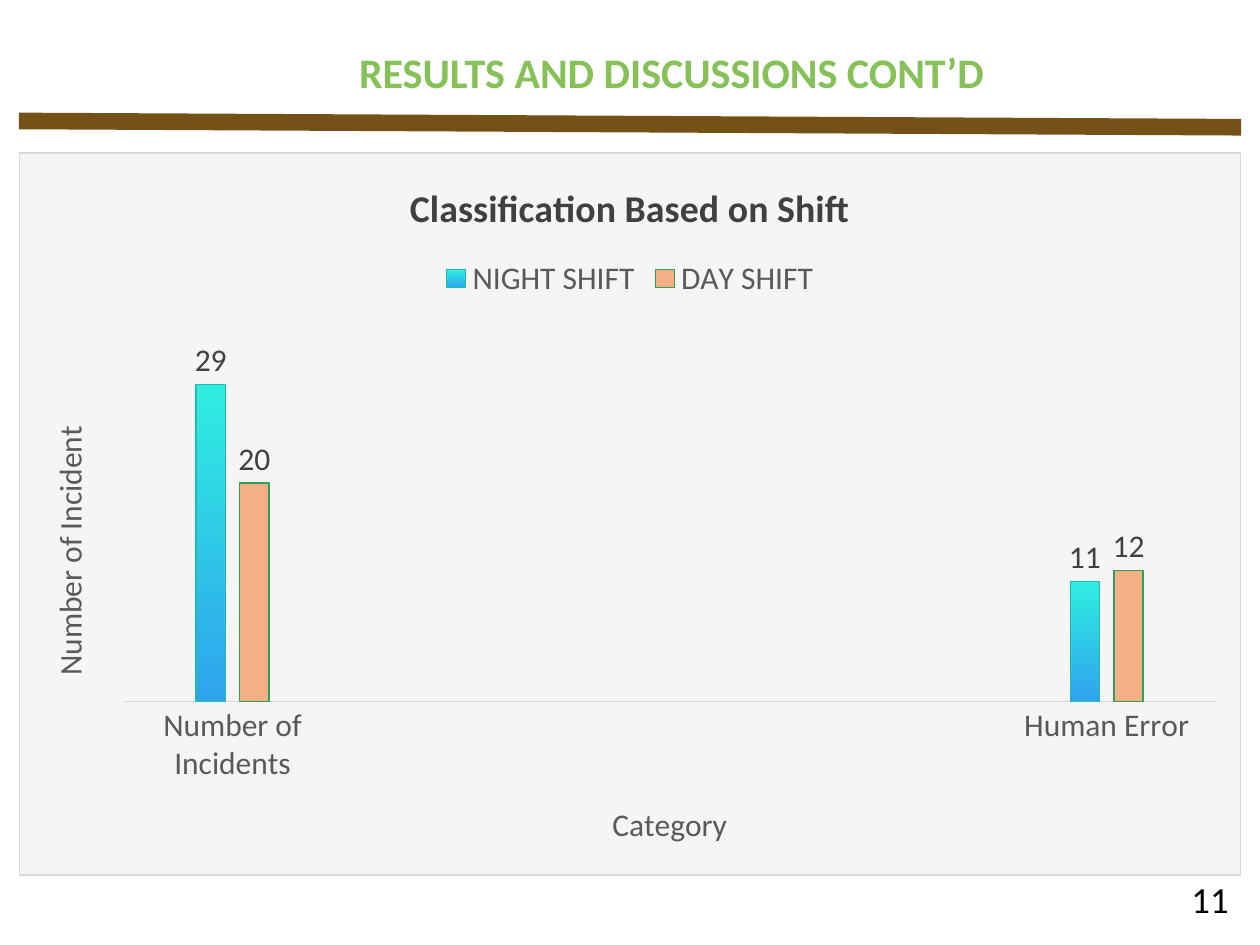
from dataclasses import dataclass

from lxml import etree
from pptx import Presentation
from pptx.chart.data import CategoryChartData
from pptx.dml.color import RGBColor
from pptx.enum.chart import XL_CHART_TYPE, XL_LABEL_POSITION, XL_LEGEND_POSITION, XL_TICK_MARK
from pptx.enum.shapes import MSO_CONNECTOR
from pptx.enum.text import MSO_ANCHOR, PP_ALIGN
from pptx.oxml import parse_xml
from pptx.oxml.ns import nsdecls, qn
from pptx.util import Inches, Pt


@dataclass(frozen=True)
class Theme:
    font: str = "Calibri"
    heading: str = "86C157"
    rule: str = "755017"
    black: str = "000000"
    white: str = "FFFFFF"
    dark: str = "404040"
    gray: str = "595959"
    border: str = "D9D9D9"
    panel: str = "F5F5F5"
    night: tuple = ("2FEEE0", "2FA3EE")
    night_edge: str = "1FBDB0"
    day: str = "F4B084"
    day_edge: str = "2FA05A"
    heading_size: float = 24
    number_size: float = 21
    chart_title_size: float = 21.6
    chart_size: float = 18
    rule_width: float = 9.5
    hairline: float = 0.75


class SlideBuilder:
    def __init__(self, slide, theme):
        self.slide = slide
        self.theme = theme

    def style(self, font, size, color, bold=False):
        font.name = self.theme.font
        font.size = Pt(size)
        font.bold = bold
        font.color.rgb = RGBColor.from_string(color)

    def outline(self, line, color, width):
        line.color.rgb = RGBColor.from_string(color)
        line.width = Pt(width)

    def background(self, color):
        fill = self.slide.background.fill
        fill.solid()
        fill.fore_color.rgb = RGBColor.from_string(color)

    def text(self, content, box, size, color, align, anchor=MSO_ANCHOR.TOP, bold=False):
        frame = self.slide.shapes.add_textbox(*map(Inches, box)).text_frame
        frame.word_wrap = True
        frame.vertical_anchor = anchor
        paragraph = frame.paragraphs[0]
        paragraph.text = content
        paragraph.alignment = align
        self.style(paragraph.font, size, color, bold)

    def rule(self, start, end):
        rule = self.slide.shapes.add_connector(
            MSO_CONNECTOR.STRAIGHT, *map(Inches, start + end))
        self.outline(rule.line, self.theme.rule, self.theme.rule_width)
        etree.SubElement(rule.element.spPr, qn("a:effectLst"))

    def chart_title(self, owner, content, size, color, bold=False):
        paragraph = owner.text_frame.paragraphs[0]
        paragraph.text = content
        self.style(paragraph.font, size, color, bold)

    def chart_panel(self, chart):
        theme = self.theme
        chart.element.find(qn("c:chart")).addnext(parse_xml(
            f'<c:spPr {nsdecls("c", "a")}>'
            f'<a:solidFill><a:srgbClr val="{theme.panel}"/></a:solidFill>'
            f'<a:ln w="{Pt(theme.hairline)}"><a:solidFill>'
            f'<a:srgbClr val="{theme.border}"/></a:solidFill></a:ln></c:spPr>'))

    def plot_area(self, chart, x, y, w, h):
        area = chart.element.find(".//" + qn("c:plotArea"))
        for old in area.findall(qn("c:layout")):
            area.remove(old)
        values = "".join(f'<c:{key} val="{value}"/>'
                         for key, value in zip("xywh", (x, y, w, h)))
        area.insert(0, parse_xml(
            f'<c:layout {nsdecls("c")}><c:manualLayout><c:layoutTarget val="inner"/>'
            f'<c:xMode val="edge"/><c:yMode val="edge"/>{values}'
            '</c:manualLayout></c:layout>'.replace("<c:w ", "<c:w ")))

    def bars(self, series, colors, edge):
        fill = series.format.fill
        if isinstance(colors, tuple):
            fill.gradient()
            fill.gradient_angle = 270
            for stop, color in zip(fill.gradient_stops, colors):
                stop.color.rgb = RGBColor.from_string(color)
        else:
            fill.solid()
            fill.fore_color.rgb = RGBColor.from_string(colors)
        self.outline(series.format.line, edge, self.theme.hairline)
        series.invert_if_negative = False
        labels = series.data_labels
        labels.show_value = True
        labels.position = XL_LABEL_POSITION.OUTSIDE_END
        self.style(labels.font, self.theme.chart_size, self.theme.dark)

    def column_chart(self, box, title, axis_titles, categories, shifts):
        theme = self.theme
        data = CategoryChartData()
        data.categories = categories
        for name, values, _, _ in shifts:
            data.add_series(name, values)
        chart = self.slide.shapes.add_chart(
            XL_CHART_TYPE.COLUMN_CLUSTERED, *map(Inches, box), data).chart
        self.style(chart.font, theme.chart_size, theme.black)
        self.chart_panel(chart)
        self.plot_area(chart, 0.085, 0.23, 0.895, 0.53)

        chart.has_title = True
        self.chart_title(chart.chart_title, title, theme.chart_title_size, theme.dark, True)
        chart.has_legend = True
        chart.legend.position = XL_LEGEND_POSITION.TOP
        chart.legend.include_in_layout = False
        self.style(chart.legend.font, theme.chart_size, theme.gray)

        category_axis, value_axis = chart.category_axis, chart.value_axis
        for axis, label in zip((category_axis, value_axis), axis_titles):
            axis.has_major_gridlines = False
            axis.major_tick_mark = XL_TICK_MARK.NONE
            self.chart_title(axis.axis_title, label, theme.chart_size, theme.gray)
        self.style(category_axis.tick_labels.font, theme.chart_size, theme.gray)
        self.outline(category_axis.format.line, theme.border, theme.hairline)
        value_axis.minimum_scale = 0
        value_axis.maximum_scale = 35
        value_axis.visible = False

        plot = chart.plots[0]
        plot.vary_by_categories = False
        plot.gap_width = 500
        plot.overlap = -50
        for series, (_, _, colors, edge) in zip(plot.series, shifts):
            self.bars(series, colors, edge)


def main():
    theme = Theme()
    presentation = Presentation()
    presentation.slide_width = Inches(10)
    presentation.slide_height = Inches(7.5)
    builder = SlideBuilder(
        presentation.slides.add_slide(presentation.slide_layouts[6]), theme)

    builder.background(theme.white)
    builder.text("11", (9.22, 6.93, 0.63, 0.4), theme.number_size, theme.black,
                 PP_ALIGN.RIGHT, MSO_ANCHOR.MIDDLE)
    builder.text("RESULTS AND DISCUSSIONS CONT’D", (2.38, 0.32, 5.9, 0.5),
                 theme.heading_size, theme.heading, PP_ALIGN.CENTER, bold=True)
    builder.rule((0.15, 0.96), (9.85, 1.01))
    builder.column_chart(
        (0.15, 1.21, 9.7, 5.74),
        "Classification Based on Shift",
        ("Category", "Number of Incident"),
        ("Number of Incidents", "", "", "", "Human Error"),
        (("NIGHT SHIFT", (29, None, None, None, 11), theme.night, theme.night_edge),
         ("DAY SHIFT", (20, None, None, None, 12), theme.day, theme.day_edge)))
    presentation.save("out.pptx")


if __name__ == "__main__":
    main()
